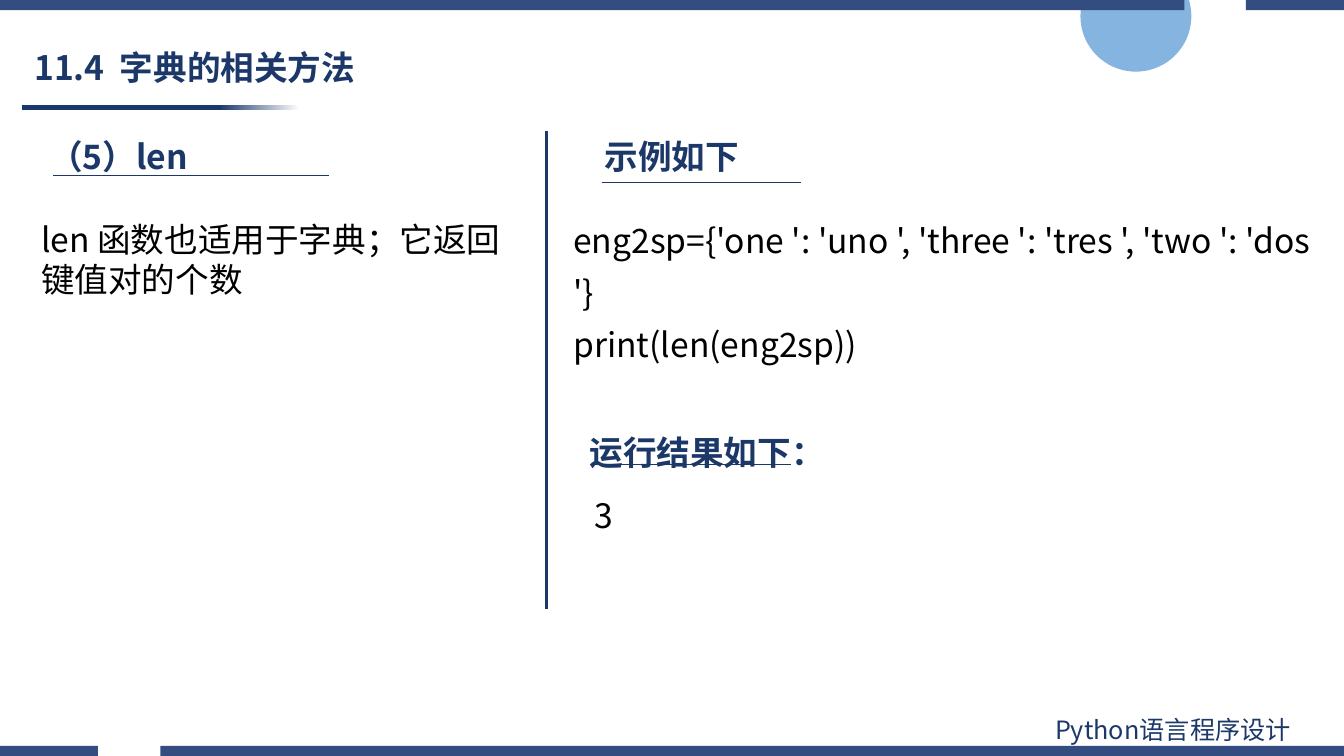
from dataclasses import dataclass

from lxml import etree
from pptx import Presentation
from pptx.dml.color import RGBColor
from pptx.enum import shapes, text
from pptx.oxml import ns
from pptx.util import Pt


@dataclass(frozen=True)
class Theme:
    font: str = "Noto Sans CJK SC"
    navy: str = "1B3868"
    bar: str = "334D80"
    circle: str = "5B9BD5"
    black: str = "000000"
    white: str = "FFFFFF"
    body: int = 24
    footer: int = 18


THEME = Theme()
WIDTH, HEIGHT, BAR = 960, 540, 7.2


def rgb(value):
    return RGBColor.from_string(value)


def fill_shape(sp, color):
    sp.shadow.inherit = False
    sp.fill.solid()
    sp.fill.fore_color.rgb = rgb(color)
    sp.line.fill.background()


def write(tf, lines, color, size=THEME.body, bold=False, spacing=None):
    tf.word_wrap = True
    tf.text = "\n".join(lines)
    for p in tf.paragraphs:
        p.alignment = text.PP_ALIGN.LEFT
        p.line_spacing = spacing
        p.font.name = THEME.font
        p.font.size = Pt(size)
        p.font.bold = bold
        p.font.color.rgb = rgb(color)
        # East Asian typeface follows the Latin one
        latin = p._p.pPr.find(".//" + ns.qn("a:latin"))
        ea = etree.Element(ns.qn("a:ea"), typeface=THEME.font)
        latin.addnext(ea)


def add_text(s, box, lines, color=THEME.black, **style):
    sp = s.shapes.add_textbox(*map(Pt, box))
    write(sp.text_frame, lines, color, **style)
    sp.text_frame.auto_size = text.MSO_AUTO_SIZE.SHAPE_TO_FIT_TEXT


def add_heading(s, box, label):
    add_text(s, box, [label], THEME.navy, bold=True)


def add_rule(s, x1, y1, x2, y2, width=0.5):
    line = s.shapes.add_connector(
        shapes.MSO_CONNECTOR.STRAIGHT, *map(Pt, (x1, y1, x2, y2)))
    line.line.color.rgb = rgb(THEME.navy)
    line.line.width = Pt(width)
    etree.SubElement(line._element.spPr, ns.qn("a:effectLst"))


def add_edge_bar(s, top, gap_left, gap_right):
    """A full-width bar with one gap."""
    top, bottom = Pt(top), Pt(top + BAR)
    builder = s.shapes.build_freeform(0, top)
    for left, right in ((0, gap_left), (gap_right, WIDTH)):
        left, right = Pt(left), Pt(right)
        builder.move_to(left, top)
        builder.add_line_segments(
            [(right, top), (right, bottom), (left, bottom)], close=True)
    fill_shape(builder.convert_to_shape(), THEME.bar)


def add_circle(s, box):
    sp = s.shapes.add_shape(shapes.MSO_SHAPE.OVAL, *map(Pt, box))
    fill_shape(sp, THEME.circle)
    color = sp._element.spPr.find(".//" + ns.qn("a:srgbClr"))
    etree.SubElement(color, ns.qn("a:alpha"), val="75000")


def add_fading_bar(s, box):
    sp = s.shapes.add_shape(shapes.MSO_SHAPE.RECTANGLE, *map(Pt, box))
    fill_shape(sp, THEME.navy)
    sp.fill.gradient()
    sp.fill.gradient_angle = 0
    stops = sp._element.spPr.find(".//" + ns.qn("a:gsLst"))
    for stop in list(stops):
        stops.remove(stop)
    for percent, color in ((0, THEME.navy), (71, THEME.navy), (100, THEME.white)):
        stop = etree.SubElement(stops, ns.qn("a:gs"), pos=str(percent * 1000))
        etree.SubElement(stop, ns.qn("a:srgbClr"), val=color)


def set_title(s, box, label):
    sp = s.shapes.title
    sp.left, sp.top, sp.width, sp.height = map(Pt, box)
    tf = sp.text_frame
    write(tf, [label], THEME.navy, bold=True, spacing=0.9)
    tf.vertical_anchor = text.MSO_ANCHOR.MIDDLE
    tf.auto_size = text.MSO_AUTO_SIZE.NONE


def main():
    prs = Presentation()
    prs.slide_width, prs.slide_height = Pt(WIDTH), Pt(HEIGHT)
    s = prs.slides.add_slide(prs.slide_layouts[5])

    # Frame and title
    add_circle(s, (771.8, -28, 79.2, 79.2))
    add_fading_bar(s, (15.5, 75.2, 198.7, 3.6))
    add_edge_bar(s, HEIGHT - BAR, 70, 114.5)
    add_edge_bar(s, 0, 846, 890)
    add_text(s, (746.6, 506.9, 211.7, 28.8), ["Python语言程序设计"],
             THEME.navy, size=THEME.footer)
    set_title(s, (17.3, 29.5, 326.2, 40.3), "11.4  字典的相关方法")

    # Explanation on the left
    add_heading(s, (28.1, 93.6, 262.8, 36), "（5）len")
    add_rule(s, 38.2, 125.3, 234.7, 125.3)
    add_text(s, (22.3, 152.6, 347, 65.5),
             ["len 函数也适用于字典；它返回键值对的个数"])

    # Column divider
    add_rule(s, 390.2, 93.6, 390.2, 434.9, width=2)

    # Example on the right
    add_heading(s, (424.8, 93.6, 163.4, 36), "示例如下")
    add_rule(s, 429.8, 130.3, 572.4, 130.3)
    add_text(s, (402.5, 144.7, 557.3, 82.8),
             ["eng2sp={'one ': 'uno ', 'three ': 'tres ', 'two ': 'dos '}",
              "print(len(eng2sp))"], spacing=1.3)

    # Result on the right
    add_heading(s, (414, 305.3, 211.7, 36), "运行结果如下：")
    add_rule(s, 422.6, 331.9, 565.2, 331.9)
    add_text(s, (417.6, 349.9, 532.8, 36), ["3"])

    prs.save("out.pptx")


if __name__ == "__main__":
    main()
